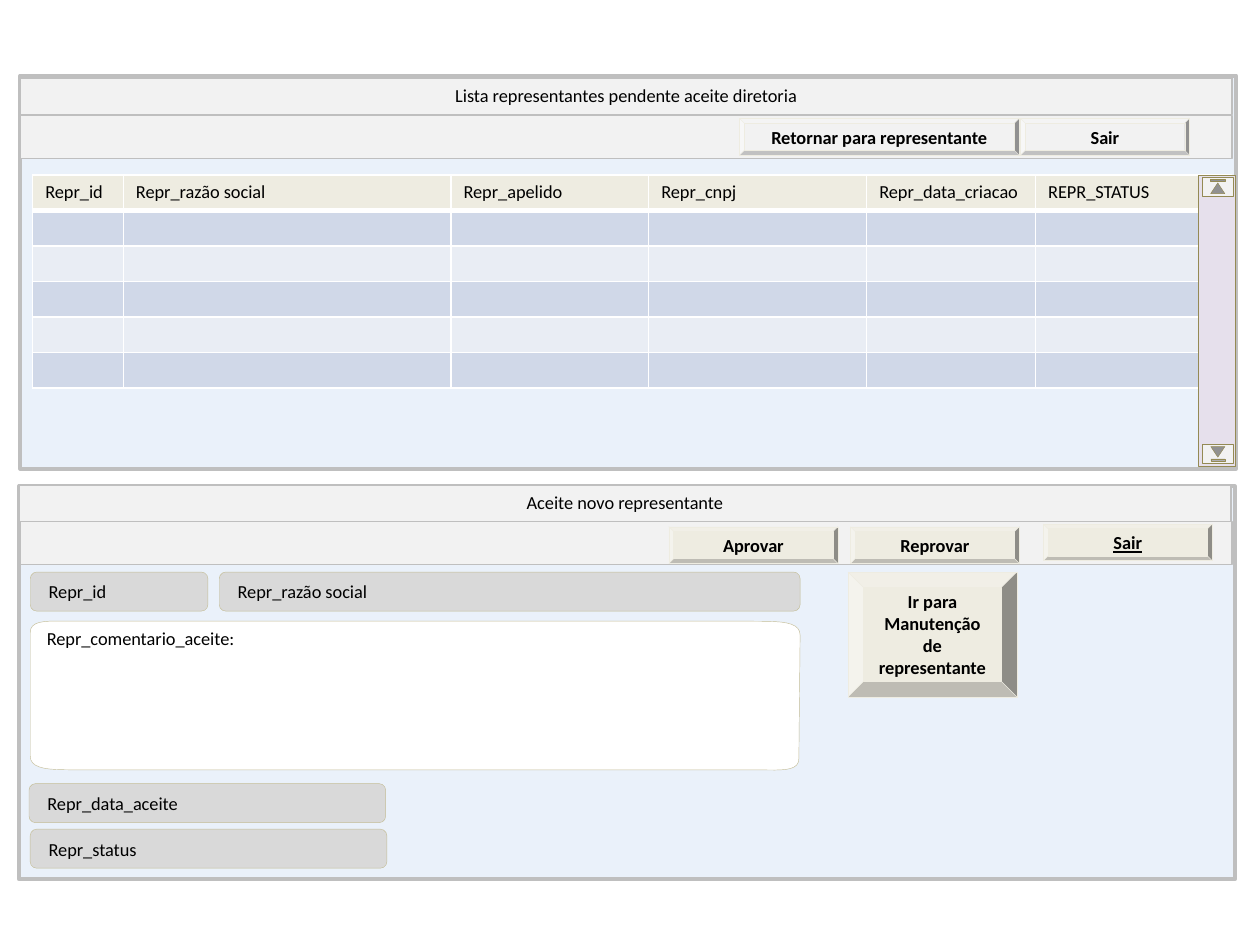
from lxml.etree import SubElement
from pptx import Presentation
from pptx.dml.color import RGBColor
from pptx.enum.shapes import MSO_SHAPE
from pptx.enum.text import MSO_ANCHOR, PP_ALIGN
from pptx.oxml.ns import qn
from pptx.util import Pt

GRAY, CREAM, SAND = "F2F2F2", "EEECE1", "C4BD97"
SIZE, FONT = 10.5, "Calibri"
HEADS = ["Repr_id", "Repr_razão social", "Repr_apelido", "Repr_cnpj",
         "Repr_data_criacao", "REPR_STATUS"]
WIDTHS = [51.8, 187.2, 113, 124.6, 96.5, 111.6]
ROWS, ROW_H = 6, 20.28


def color(code):
    return RGBColor.from_string(code)


def style(shape, fill, line, width):
    shape.shadow.inherit = False
    shape.fill.solid()
    shape.fill.fore_color.rgb = color(fill)
    shape.line.color.rgb = color(line)
    shape.line.width = Pt(width)


def write(frame, lines, align=PP_ALIGN.LEFT, anchor=MSO_ANCHOR.MIDDLE,
          bold=False, under=False):
    frame.word_wrap = True
    frame.vertical_anchor = anchor
    for i, line in enumerate(lines):
        para = frame.add_paragraph() if i else frame.paragraphs[0]
        para.alignment = align
        run = para.add_run()
        run.text = line
        font = run.font
        font.name, font.size, font.bold = FONT, Pt(SIZE), bold
        font.underline = under
        font.color.rgb = color("000000")


def draw(shapes, kind, box, fill, line, width=0.25):
    shape = shapes.add_shape(kind, *map(Pt, box))
    style(shape, fill, line, width)
    return shape


def panel(shapes, frame, title, bar, text):
    """Window frame with a title strip and an empty button bar."""
    rect = MSO_SHAPE.RECTANGLE
    draw(shapes, rect, (*frame, 694.8, 224.6), "EAF1FA", "BFBFBF", 2.25)
    head = draw(shapes, rect, (*title, 692.6, 20.9), GRAY, "BFBFBF", 0.75)
    write(head.text_frame, [text], PP_ALIGN.CENTER, MSO_ANCHOR.TOP)
    draw(shapes, rect, (*bar, 692.6, 24.5), GRAY, "BFBFBF", 0.75)


def button(shapes, x, y, lines, w=96.5, h=20.9, fill=CREAM, under=False):
    shape = draw(shapes, MSO_SHAPE.BEVEL, (x, y, w, h), fill, CREAM)
    write(shape.text_frame, lines, PP_ALIGN.CENTER, bold=True, under=under)


def field(shapes, x, y, w, text):
    shape = draw(shapes, MSO_SHAPE.ROUNDED_RECTANGLE, (x, y, w, 22.3),
                 "D9D9D9", SAND)
    write(shape.text_frame, [text])


def curve(a, b, c, d, steps=10):
    """Points along a cubic Bezier curve from a to d."""
    for i in range(steps + 1):
        t = i / steps
        u = 1 - t
        yield tuple(u**3 * p + 3 * u * u * t * q + 3 * u * t * t * r + t**3 * s
                    for p, q, r, s in zip(a, b, c, d))


def comment(shapes):
    """Large white box with uneven rounded corners."""
    corners = [
        ((17.3, 361.4), (17.3, 353.5), (28.8, 355), (43.9, 355)),
        ((430.6, 355), (445.7, 355), (457.2, 355), (457.2, 362.9)),
        ((456.5, 433.4), (456.5, 441.4), (445.7, 439.9), (430.6, 439.9)),
        ((43.9, 439.9), (28.8, 439.9), (17.3, 439.9), (17.3, 432)),
    ]
    dots = [(Pt(x), Pt(y)) for ends in corners for x, y in curve(*ends)]
    path = shapes.build_freeform(*dots[0])
    path.add_line_segments(dots[1:], close=True)
    shape = path.convert_to_shape()
    style(shape, "FFFFFF", SAND, 0.25)
    write(shape.text_frame, [" Repr_comentario_aceite:"],
          anchor=MSO_ANCHOR.TOP)


def border(cell, fill, top, bottom):
    props = cell._tc.get_or_add_tcPr()
    for side, width in zip("LRTB", (1, 1, top, bottom)):
        line = SubElement(props, qn(f"a:ln{side}"), w=str(Pt(width)))
        paint = SubElement(line, qn("a:solidFill"))
        SubElement(paint, qn("a:srgbClr"), val="FFFFFF")
    cell.fill.solid()
    cell.fill.fore_color.rgb = color(fill)


def grid(shapes):
    box = (18.7, 100.1, sum(WIDTHS), ROWS * ROW_H)
    table = shapes.add_table(ROWS, len(HEADS), *map(Pt, box)).table
    table.first_row = table.horz_banding = False
    for col, width in zip(table.columns, WIDTHS):
        col.width = Pt(width)
    for r in range(ROWS):
        table.rows[r].height = Pt(ROW_H)
        for c, head in enumerate(HEADS):
            cell = table.cell(r, c)
            if r == 0:
                write(cell.text_frame, [head], anchor=MSO_ANCHOR.TOP)
                border(cell, CREAM, 1, 3)
            else:
                # Small end mark keeps the empty row at its height
                SubElement(cell.text_frame.paragraphs[0]._p,
                           qn("a:endParaRPr"), sz=str(int(SIZE * 100)))
                border(cell, "D0D8E8" if r % 2 else "E9EDF4",
                       3 if r == 1 else 1, 1)


def scroll(shapes):
    parts = shapes.add_group_shape().shapes
    draw(parts, MSO_SHAPE.RECTANGLE, (684.7, 100.1, 20.9, 166.3),
         "E6E0EC", "948A54")
    for y, turn in ((97.9, 270), (250.6, 90)):
        end = draw(parts, MSO_SHAPE.ACTION_BUTTON_END, (690.5, y, 10.8, 17.3),
                   GRAY, "948A54")
        end.rotation = turn


def main():
    deck = Presentation()
    deck.slide_width, deck.slide_height = Pt(720), Pt(540)
    shapes = deck.slides.add_slide(deck.slide_layouts[6]).shapes

    panel(shapes, (11.5, 43.2), (11.5, 44.6), (11.5, 66.2),
          "Lista representantes pendente aceite diretoria")
    button(shapes, 583.2, 67.7, ["Sair"], fill=GRAY)
    button(shapes, 422.6, 67.7, ["Retornar para representante"], w=159.8,
           fill=GRAY)
    grid(shapes)

    panel(shapes, (10.8, 277.9), (10.8, 277.2), (11.5, 298.1),
          "Aceite novo representante")
    button(shapes, 382.3, 301, ["Aprovar"])
    button(shapes, 486, 301, ["Reprovar"])
    button(shapes, 596.2, 299.5, ["Sair"], under=True)
    comment(shapes)
    field(shapes, 16.6, 447.8, 203.8, " Repr_data_aceite")
    field(shapes, 17.3, 473.8, 203.8, " Repr_status")
    field(shapes, 17.3, 326.9, 101.5, " Repr_id")
    field(shapes, 125.3, 326.9, 331.9, " Repr_razão social")
    scroll(shapes)
    button(shapes, 484.6, 326.9, ["Ir para", "Manutenção de representante"],
           h=71.3)
    deck.save("out.pptx")


if __name__ == "__main__":
    main()
